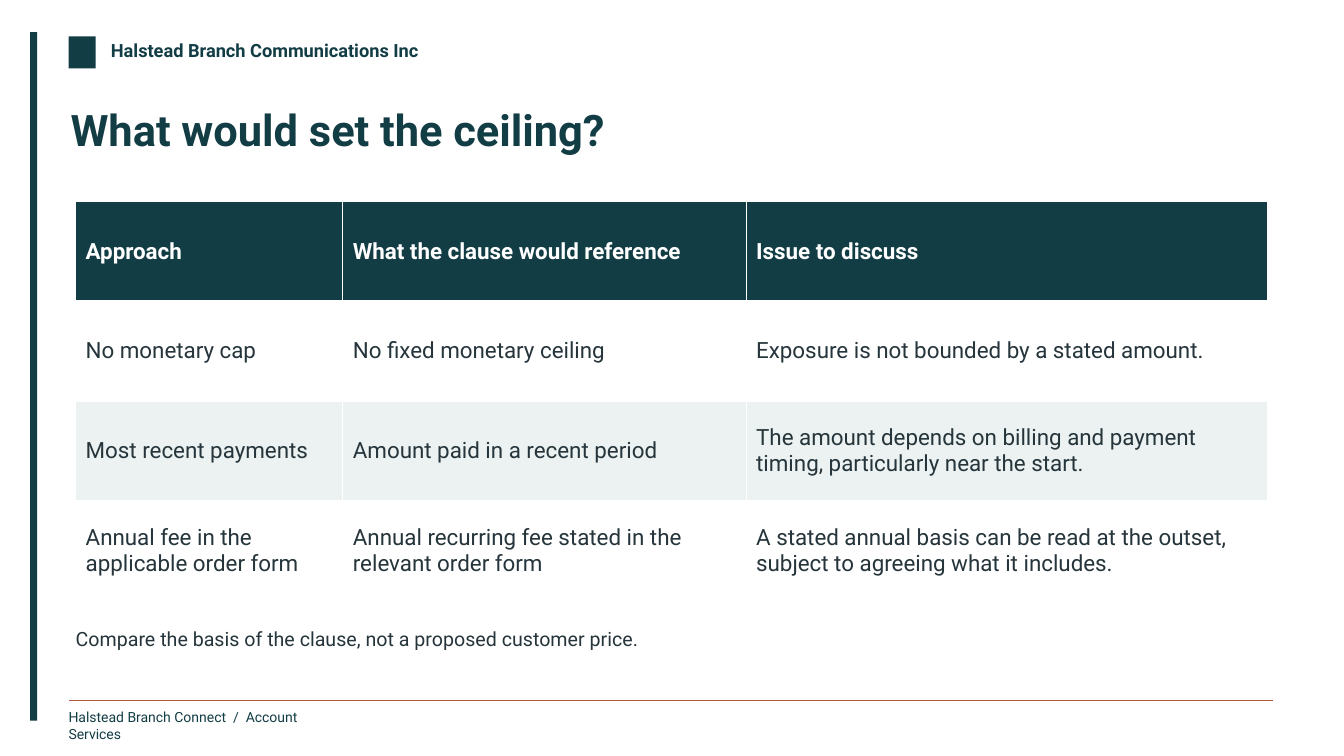
from lxml import etree
from pptx import Presentation
from pptx.dml.color import RGBColor
from pptx.enum.shapes import MSO_CONNECTOR as Connector, MSO_SHAPE as Shape
from pptx.enum.text import MSO_ANCHOR as Anchor, PP_ALIGN as Align
from pptx.oxml import parse_xml
from pptx.oxml.ns import nsdecls, qn
from pptx.util import Pt

PX = 9144  # EMU per px, 100 px to the inch
COLORS = {"teal": "133D45", "rust": "AF5636", "ink": "26353B",
          "mist": "EBF2F1", "white": "FFFFFF"}


def color(name):
    return RGBColor.from_string(COLORS[name])


def write(frame, text, size, ink, bold=False, insets=(0, 0, 0, 0)):
    frame.text = text
    (frame.margin_left, frame.margin_top,
     frame.margin_right, frame.margin_bottom) = [inset * PX for inset in insets]
    paragraph = frame.paragraphs[0]
    paragraph.alignment = Align.LEFT
    font = paragraph.runs[0].font
    font.name, font.size, font.bold = "Roboto", Pt(size), bold
    font.color.rgb = color(ink)


deck = Presentation()
deck.slide_width, deck.slide_height = 1333 * PX, 750 * PX
slide = deck.slides.add_slide(deck.slide_layouts[5])
shapes = slide.shapes

# Side bar and plain brand block
for left, top, width, height in [(30, 32, 7, 683), (68, 36, 27, 32)]:
    block = shapes.add_shape(Shape.RECTANGLE, left * PX, top * PX, width * PX, height * PX)
    block.shadow.inherit = False
    block.fill.solid()
    block.fill.fore_color.rgb = color("teal")
    block.line.fill.background()

# Footer rule
rule = shapes.add_connector(Connector.STRAIGHT, 68 * PX, 695 * PX, 1263 * PX, 695 * PX)
rule.line.color.rgb = color("rust")
rule.line.width = Pt(1)
etree.SubElement(rule._element.spPr, qn("a:effectLst"))

# Title
title = shapes.title
title.left, title.top, title.width, title.height = 70 * PX, 102 * PX, 1190 * PX, 86 * PX
write(title.text_frame, "What would set the ceiling?", 31, "teal", bold=True)
title.text_frame.vertical_anchor = Anchor.TOP

# Company name, footer and closing remark
LABELS = [
    ("Halstead Branch Communications Inc", (110, 39, 355, 27), 13, "teal", True, False),
    ("Halstead Branch Connect  /  Account Services", (68, 703, 260, 23), 10, "teal", False, False),
    ("Compare the basis of the clause, not a proposed customer price.",
     (75, 622, 1182, 44), 14, "ink", False, True),
]
for text, box, size, ink, bold, wrap in LABELS:
    label = shapes.add_textbox(*[length * PX for length in box])
    write(label.text_frame, text, size, ink, bold)
    label.text_frame.word_wrap = wrap

# Comparison table
APPROACHES = [
    ("Approach", "What the clause would reference", "Issue to discuss"),
    ("No monetary cap", "No fixed monetary ceiling",
     "Exposure is not bounded by a stated amount."),
    ("Most recent payments", "Amount paid in a recent period",
     "The amount depends on billing and payment timing, particularly near the start."),
    ("Annual fee in the applicable order form",
     "Annual recurring fee stated in the relevant order form",
     "A stated annual basis can be read at the outset, subject to agreeing what it includes."),
]
ROW_FILLS = ["teal", "white", "mist", "white"]
COLUMN_WIDTHS = [265, 400, 517]
ROW_HEIGHT = 99

comparison = shapes.add_table(len(APPROACHES), len(COLUMN_WIDTHS), 75 * PX, 200 * PX,
                              sum(COLUMN_WIDTHS) * PX, ROW_HEIGHT * len(APPROACHES) * PX).table
for column, width in zip(comparison.columns, COLUMN_WIDTHS):
    column.width = width * PX

for r, (approach, row_fill) in enumerate(zip(APPROACHES, ROW_FILLS)):
    comparison.rows[r].height = ROW_HEIGHT * PX
    header = r == 0
    for c, text in enumerate(approach):
        cell = comparison.cell(r, c)
        write(cell.text_frame, text, 16, "white" if header else "ink", header, (20, 8, 10, 5))
        cell.vertical_anchor = Anchor.MIDDLE
        # White borders, heavier around the header's lower edge
        borders = {"lnL": 1, "lnR": 1, "lnT": 3 if r == 1 else 1, "lnB": 3 if header else 1}
        for side, points in borders.items():
            cell._tc.get_or_add_tcPr().append(parse_xml(
                f'<a:{side} {nsdecls("a")} w="{Pt(points)}"><a:solidFill>'
                f'<a:srgbClr val="{COLORS["white"]}"/></a:solidFill></a:{side}>'))
        cell.fill.solid()
        cell.fill.fore_color.rgb = color(row_fill)

deck.save("out.pptx")
